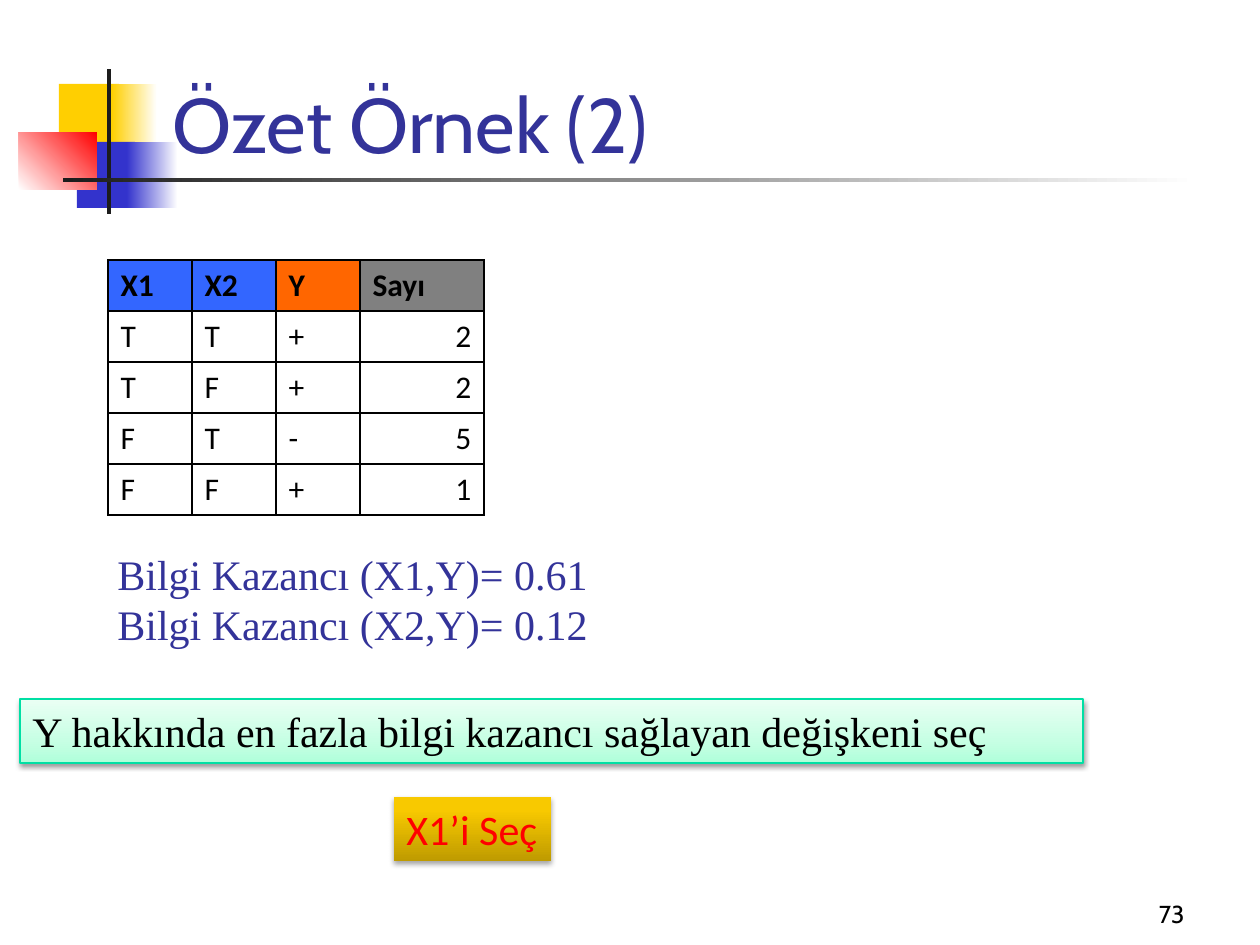
from lxml import etree
from pptx import Presentation
from pptx import util as u
from pptx.dml.color import RGBColor
from pptx.enum import shapes, text
from pptx.oxml.ns import qn

PX = 914400 / 126
C = {
    "yellow": "FFCF01", "blue": "3333CC", "red": "FF0000", "white": "FFFFFF",
    "dark": "1C1C1C", "title": "333399", "black": "000000",
    "head_x": "3366FF", "head_y": "FF6600", "head_n": "808080", "mint_line": "00DFA4",
    "gold1": "BF9B00", "gold2": "F8C900", "gold3": "F9CA00",
    "mint1": "B0FFDA", "mint2": "C7FFE4", "mint3": "EAFFF4",
}


def add_box(box, stops, angle=0):
    sp = s.shapes.add_shape(shapes.MSO_SHAPE.RECTANGLE, *[round(v * PX) for v in box])
    sp.line.fill.background()
    sp.shadow.inherit = False
    if len(stops) == 1:
        sp.fill.solid()
        sp.fill.fore_color.rgb = RGBColor.from_string(C[stops[0][1]])
        return sp
    sp.fill.gradient()
    grad = sp.element.spPr.find(qn("a:gradFill"))
    grad.find(qn("a:lin")).set("ang", str(angle * 60000))
    gs_lst = grad.find(qn("a:gsLst"))
    for gs in list(gs_lst):
        gs_lst.remove(gs)
    for pos, color in stops:
        gs = etree.SubElement(gs_lst, qn("a:gs"), pos=str(pos * 1000))
        etree.SubElement(gs, qn("a:srgbClr"), val=C[color])
    return sp


def add_text(tf, words, size, font, color, align=text.PP_ALIGN.LEFT, bold=False):
    p = tf.paragraphs[0]
    p.alignment = align
    r = p.add_run()
    r.text = words
    r.font.size = u.Pt(size)
    r.font.name = font
    r.font.bold = bold
    r.font.color.rgb = RGBColor.from_string(C[color])


prs = Presentation()
prs.slide_width, prs.slide_height = u.Inches(10), u.Inches(7.5)
s = prs.slides.add_slide(prs.slide_layouts[5])

for box, stops, angle in [
    ((59, 84, 60, 66), [(0, "yellow")], 0),
    ((112, 84, 45, 66), [(0, "yellow"), (100, "white")], 0),
    ((77, 142, 58, 66), [(0, "blue")], 0),
    ((127, 142, 51, 66), [(0, "blue"), (100, "white")], 0),
    ((19, 132, 78, 58), [(0, "white"), (100, "red")], 315),
    ((107, 69, 4, 145), [(0, "dark")], 0),
    ((63, 178, 1134, 4), [(0, "dark"), (100, "white")], 0),
]:
    add_box(box, stops, angle)

title = s.shapes.title
s.shapes.element.append(title.element)
title.left, title.top, title.width, title.height = [round(v * PX) for v in (160, 18, 1074, 157)]
title.text_frame.vertical_anchor = text.MSO_ANCHOR.BOTTOM
add_text(title.text_frame, "Özet Örnek (2)", 44, "Cabin", "title")

sp = s.shapes.add_textbox(*[round(v * PX) for v in (935, 872, 262, 63)])
sp.text_frame.vertical_anchor = text.MSO_ANCHOR.BOTTOM
sp.text_frame.word_wrap = True
add_text(sp.text_frame, "73", 14, "Cabin", "black", text.PP_ALIGN.RIGHT)

rows = [
    ["X1", "X2", "Y", "Sayı"],
    ["T", "T", "+", "2"],
    ["T", "F", "+", "2"],
    ["F", "T", "-", "5"],
    ["F", "F", "+", "1"],
]
heads = ["head_x", "head_x", "head_y", "head_n"]
frame = s.shapes.add_table(5, 4, *[round(v * PX) for v in (108, 260, 376, 255)])
tbl = frame.table
tbl.first_row = tbl.horz_banding = False
for col, width in zip(tbl.columns, (84, 84, 84, 124)):
    col.width = round(width * PX)
for i, row in enumerate(rows):
    tbl.rows[i].height = round(51 * PX)
    for j, words in enumerate(row):
        cell = tbl.cell(i, j)
        cell.vertical_anchor = text.MSO_ANCHOR.BOTTOM
        if i == 0:
            cell.fill.solid()
            cell.fill.fore_color.rgb = RGBColor.from_string(C[heads[j]])
        else:
            cell.fill.background()
        align = text.PP_ALIGN.RIGHT if i and j == 3 else text.PP_ALIGN.LEFT
        add_text(cell.text_frame, words, 18, "Calibri", "black", align, i == 0)
        tcPr = cell._tc.get_or_add_tcPr()
        for n, side in enumerate(("lnL", "lnR", "lnT", "lnB")):
            ln = etree.Element(qn("a:" + side), w="12700")
            fill = etree.SubElement(ln, qn("a:solidFill"))
            etree.SubElement(fill, qn("a:srgbClr"), val=C["black"])
            tcPr.insert(n, ln)

for top, words in [(542, "Bilgi Kazancı (X1,Y)= 0.61"), (592, "Bilgi Kazancı (X2,Y)= 0.12")]:
    sp = s.shapes.add_textbox(*[round(v * PX) for v in (105, top, 511, 63)])
    sp.text_frame.word_wrap = False
    add_text(sp.text_frame, words, 24, "Times New Roman", "title")

for box, stops, words, font, color, line, wrap, alpha, dist in [
    ((394, 797, 157, 64), [(0, "gold1"), (80, "gold2"), (100, "gold3")],
     "X1’i Seç", "Calibri", "red", None, False, 35, 1.8),
    ((20, 699, 1063, 64), [(0, "mint1"), (35, "mint2"), (100, "mint3")],
     "Y hakkında en fazla bilgi kazancı sağlayan değişkeni seç",
     "Times New Roman", "black", "mint_line", True, 38, 1.6),
]:
    sp = add_box(box, stops, 270)
    if line:
        sp.line.color.rgb = RGBColor.from_string(C[line])
        sp.line.width = u.Pt(0.75)
    shadow = etree.SubElement(sp.element.spPr.find(qn("a:effectLst")), qn("a:outerShdw"),
                              blurRad=str(u.Pt(3.1)), dist=str(u.Pt(dist)),
                              dir="5400000", rotWithShape="0")
    clr = etree.SubElement(shadow, qn("a:srgbClr"), val=C["black"])
    etree.SubElement(clr, qn("a:alpha"), val=str(alpha * 1000))
    sp.text_frame.word_wrap = wrap
    sp.text_frame.vertical_anchor = text.MSO_ANCHOR.TOP
    add_text(sp.text_frame, words, 24, font, color)

prs.save("out.pptx")
